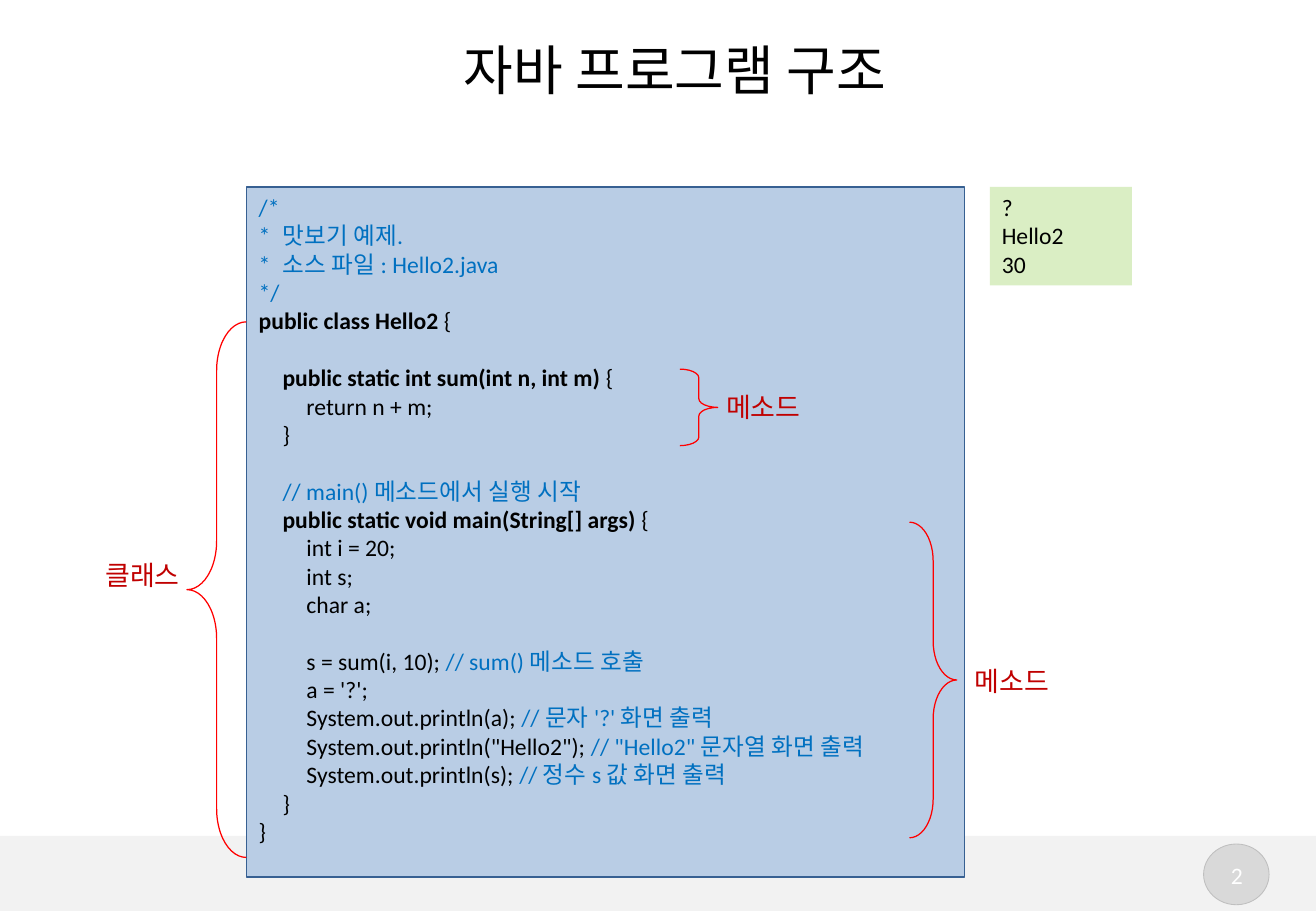
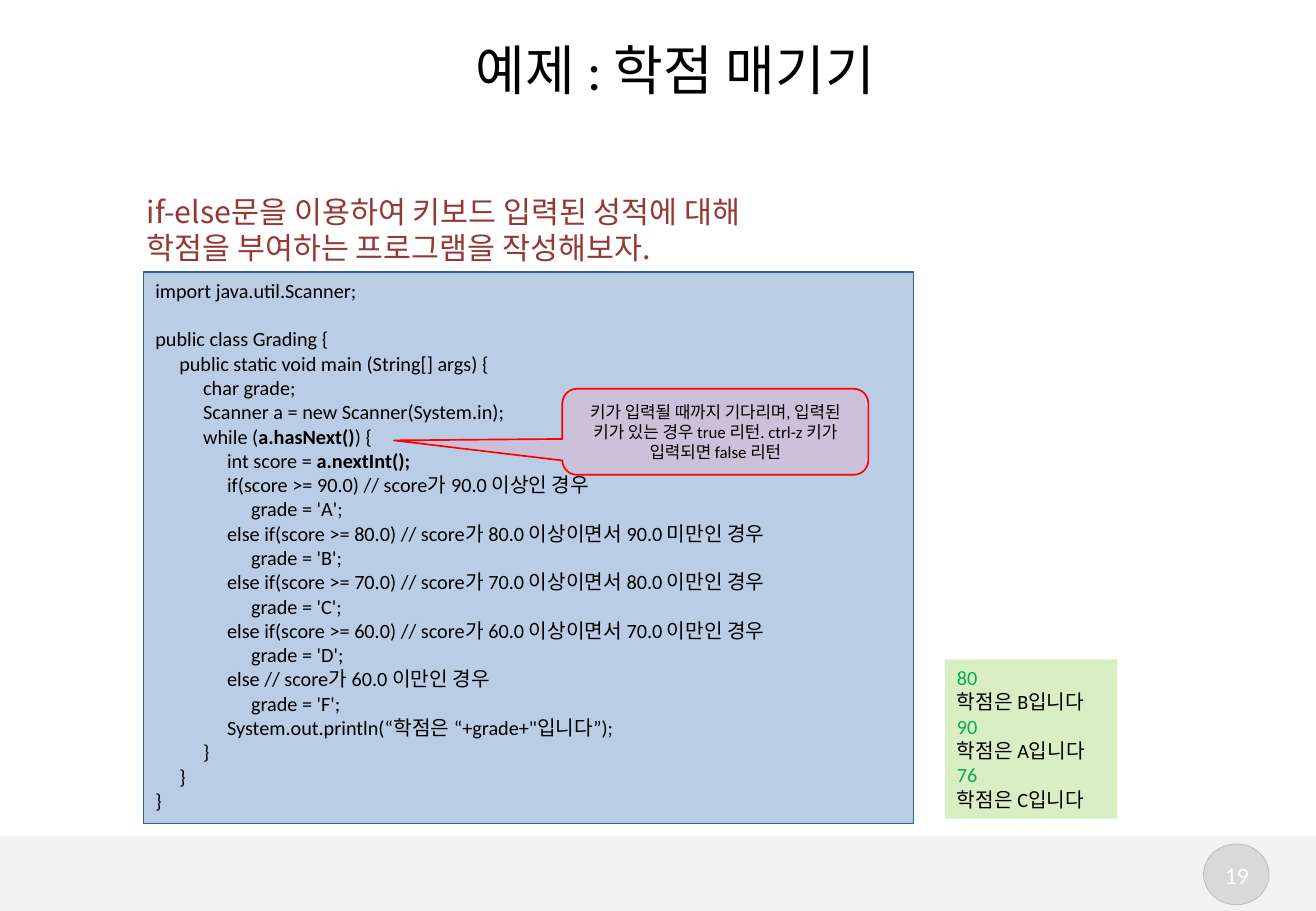
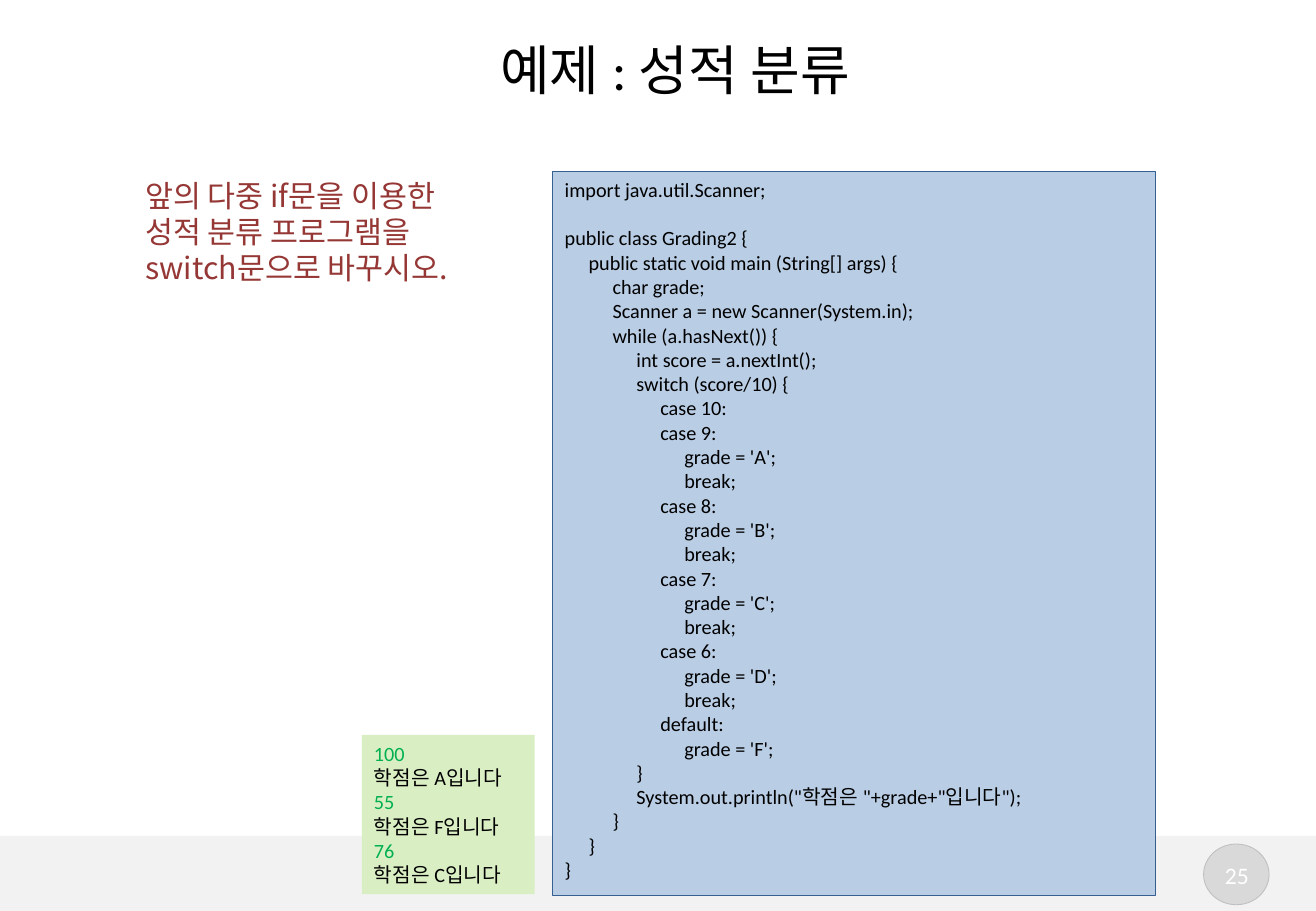
from dataclasses import dataclass
from typing import Optional

import pptx
import pptx.dml.color
import pptx.enum.shapes
import pptx.enum.text
import pptx.oxml.ns
import pptx.util
from lxml import etree

Cm = pptx.util.Cm
Pt = pptx.util.Pt
qn = pptx.oxml.ns.qn
Shapes = pptx.enum.shapes.MSO_SHAPE
Align = pptx.enum.text.PP_ALIGN
Anchor = pptx.enum.text.MSO_ANCHOR


@dataclass(frozen=True)
class Theme:
    black: str = "000000"
    white: str = "FFFFFF"
    band: str = "F2F2F2"
    badge: str = "D9D9D9"
    badge_line: str = "BFBFBF"
    code_fill: str = "B9CDE5"
    code_line: str = "376092"
    comment: str = "0070C0"
    output_fill: str = "DAEEC4"
    typed: str = "00B050"
    label: str = "C00000"
    brace: str = "FF0000"
    prompt: str = "953735"
    callout_fill: str = "CCC1DA"
    font: str = "Calibri"
    prompt_font: str = "Noto Sans CJK KR"
    title_size: int = 32
    prompt_size: int = 18
    prompt_pitch: float = 21.5
    label_size: int = 16
    large_size: int = 14
    code_size: int = 12
    callout_size: int = 10


THEME = Theme()
WIDTH, HEIGHT = 27.52, 19.05
BAND_TOP = 17.48
TAB_STEP, TAB_COUNT = 0.5, 6
INDENT = " " * 4


@dataclass(frozen=True)
class Area:
    """Left, top, width and height in centimetres."""
    left: float
    top: float
    width: float
    height: float

    def lengths(self) -> tuple:
        return Cm(self.left), Cm(self.top), Cm(self.width), Cm(self.height)


@dataclass(frozen=True)
class TextStyle:
    size: int
    color: str = THEME.black
    accent: str = THEME.black
    font: str = THEME.font
    align: Align = Align.LEFT
    anchor: Anchor = Anchor.TOP
    pitch: Optional[float] = None
    tabs: bool = False


@dataclass(frozen=True)
class Brace:
    area: Area
    curve: float
    rotation: int = 0


TITLE = TextStyle(THEME.title_size, align=Align.CENTER)
NUMBER = TextStyle(THEME.large_size, THEME.white, align=Align.CENTER)
LABEL = TextStyle(THEME.label_size, THEME.label)
PROMPT = TextStyle(THEME.prompt_size, THEME.prompt, font=THEME.prompt_font,
                   pitch=THEME.prompt_pitch)
LARGE_CODE = TextStyle(THEME.large_size, accent=THEME.comment, tabs=True)
CODE = TextStyle(THEME.code_size, tabs=True)
LARGE_OUTPUT = TextStyle(THEME.large_size)
OUTPUT = TextStyle(THEME.code_size, accent=THEME.typed)
CALLOUT = TextStyle(THEME.callout_size, align=Align.CENTER, anchor=Anchor.MIDDLE)

HELLO_CODE = """`/*`
`*    맛보기 예제.`
`*    소스 파일 : Hello2.java`
`*/`
**public class Hello2 **{

    **public static int sum(int n, int m) **{
        return n + m;
    }

    `// main() 메소드에서 실행 시작`
    **public static void main(String[] args) **{
        int i = 20;
        int s;
        char a;

        s = sum(i, 10); `// sum() 메소드 호출`
        a = '?';
        System.out.println(a); `// 문자 '?' 화면 출력`
        System.out.println("Hello2"); `// "Hello2" 문자열 화면 출력`
        System.out.println(s); `// 정수 s 값 화면 출력`
    }
}"""

GRADING_CODE = """import java.util.Scanner;

public class Grading {
    public static void main (String[] args) {
        char grade;
        Scanner a = new Scanner(System.in);
        while (**a.hasNext()**) {
            int score = **a.nextInt();**
            if(score >= 90.0) // score가 90.0 이상인 경우
                grade = 'A';
            else if(score >= 80.0) // score가 80.0 이상이면서 90.0 미만인 경우
                grade = 'B';
            else if(score >= 70.0) // score가 70.0 이상이면서 80.0 이만인 경우
                grade = 'C';
            else if(score >= 60.0) // score가 60.0 이상이면서 70.0 이만인 경우
                grade = 'D';
            else // score가 60.0 이만인 경우
                grade = 'F';
            System.out.println(“학점은 “+grade+"입니다”);
        }
    }
}"""

SWITCH_CODE = """import java.util.Scanner;

public class Grading2 {
    public static void main (String[] args) {
        char grade;
        Scanner a = new Scanner(System.in);
        while (a.hasNext()) {
            int score = a.nextInt();
            switch (score/10) {
                case 10:
                case 9:
                    grade = 'A';
                    break;
                case 8:
                    grade = 'B';
                    break;
                case 7:
                    grade = 'C';
                    break;
                case 6:
                    grade = 'D';
                    break;
                default:
                    grade = 'F';
            }
            System.out.println("학점은 "+grade+"입니다");
        }
    }
}"""


def rgb(color: str) -> pptx.dml.color.RGBColor:
    return pptx.dml.color.RGBColor.from_string(color)


def add_tab_stops(paragraph) -> None:
    tab_list = etree.SubElement(paragraph._p.get_or_add_pPr(), qn("a:tabLst"))
    for stop in range(1, TAB_COUNT + 1):
        etree.SubElement(tab_list, qn("a:tab"), pos=str(int(Cm(TAB_STEP * stop))), algn="l")


def set_paragraph_font(paragraph, style: TextStyle, color: str) -> None:
    """Set one typeface for Latin and Korean letters alike."""
    font = paragraph.font
    font.size = Pt(style.size)
    font.color.rgb = rgb(color)
    font.name = style.font
    properties = paragraph._p.pPr.find(qn("a:defRPr"))
    etree.SubElement(properties, qn("a:ea"), typeface=style.font)


def write_line(paragraph, line: str, style: TextStyle) -> None:
    """Write a line in which `...` takes the accent colour and **...** is bold."""
    paragraph.alignment = style.align
    if style.pitch:
        paragraph.line_spacing = Pt(style.pitch)
    if style.tabs:
        add_tab_stops(paragraph)
    all_accent = line.startswith("`") and line.endswith("`")
    set_paragraph_font(paragraph, style, style.accent if all_accent else style.color)
    for piece_index, piece in enumerate(line.split("`")):
        for part_index, part in enumerate(piece.split("**")):
            if not part:
                continue
            span = paragraph.add_run()
            span.text = part
            if part_index % 2:
                span.font.bold = True
            if piece_index % 2 and not all_accent:
                span.font.color.rgb = rgb(style.accent)
    if not line:
        etree.SubElement(paragraph._p, qn("a:endParaRPr"), sz=str(style.size * 100))


def write_text(box, text: str, style: TextStyle) -> None:
    frame = box.text_frame
    frame.word_wrap = True
    frame.vertical_anchor = style.anchor
    for index, line in enumerate(text.split("\n")):
        paragraph = frame.add_paragraph() if index else frame.paragraphs[0]
        write_line(paragraph, line.replace(INDENT, "\t"), style)


def add_text(page, area: Area, text: str, style: TextStyle) -> None:
    write_text(page.shapes.add_textbox(*area.lengths()), text, style)


def add_box(page, kind: Shapes, area: Area, fill: Optional[str] = None,
            line: Optional[str] = None, line_width: float = 0.75):
    box = page.shapes.add_shape(kind, *area.lengths())
    box.shadow.inherit = False
    if fill:
        box.fill.solid()
        box.fill.fore_color.rgb = rgb(fill)
    else:
        box.fill.background()
    if line:
        box.line.color.rgb = rgb(line)
        box.line.width = Pt(line_width)
    else:
        box.line.fill.background()
    return box


def add_code(page, area: Area, text: str, style: TextStyle = CODE) -> None:
    box = add_box(page, Shapes.RECTANGLE, area, THEME.code_fill, THEME.code_line)
    write_text(box, text, style)


def add_output(page, area: Area, text: str, style: TextStyle = OUTPUT) -> None:
    write_text(add_box(page, Shapes.RECTANGLE, area, THEME.output_fill), text, style)


def add_brace(page, brace: Brace) -> None:
    box = add_box(page, Shapes.RIGHT_BRACE, brace.area, line=THEME.brace)
    box.adjustments[0] = brace.curve
    box.rotation = brace.rotation


def add_page(deck, title: str, number: int):
    """Add a page with the footer band, number badge and title."""
    page = deck.slides.add_slide(deck.slide_layouts[6])
    add_box(page, Shapes.RECTANGLE, Area(0, BAND_TOP, WIDTH, HEIGHT - BAND_TOP), THEME.band)
    add_box(page, Shapes.OVAL, Area(25.17, 17.65, 1.37, 1.27),
            THEME.badge, THEME.badge_line, 0.5)
    add_text(page, Area(25.32, 17.88, 1.09, 0.86), str(number), NUMBER)
    add_text(page, Area(1.85, 0.64, 24.54, 1.88), title, TITLE)
    return page


def build_structure_page(deck) -> None:
    page = add_page(deck, "자바 프로그램 구조", 2)
    add_code(page, Area(5.16, 3.91, 15.01, 14.43), HELLO_CODE, LARGE_CODE)
    for left, top, text in ((14.94, 8.05, "메소드"), (20.14, 13.77, "메소드"),
                            (1.96, 11.56, "클래스")):
        add_text(page, Area(left, top, 2.4, 0.94), text, LABEL)
    add_output(page, Area(20.7, 3.91, 2.97, 2.06), "?\nHello2\n30", LARGE_OUTPUT)
    for brace in (Brace(Area(14.22, 7.72, 0.79, 1.6), 0.23),
                  Brace(Area(19.02, 10.92, 0.99, 6.6), 0.82),
                  Brace(Area(3.91, 6.73, 1.24, 11.2), 0.82, 180)):
        add_brace(page, brace)


def build_grading_page(deck) -> None:
    page = add_page(deck, "예제 : 학점 매기기", 19)
    add_code(page, Area(3, 5.69, 16.1, 11.53), GRADING_CODE)
    add_text(page, Area(2.82, 3.91, 14.68, 1.8),
             "if-else문을 이용하여 키보드 입력된 성적에 대해\n"
             "학점을 부여하는 프로그램을 작성해보자.", PROMPT)
    add_output(page, Area(19.76, 13.79, 3.61, 3.33),
               "`80`\n학점은 B입니다\n`90`\n학점은 A입니다\n`76`\n학점은 C입니다")
    callout = add_box(page, Shapes.ROUNDED_RECTANGULAR_CALLOUT, Area(11.76, 8.13, 6.4, 1.8),
                      THEME.callout_fill, THEME.brace, 1)
    for index, value in enumerate((-1.05, 0.1, 0.17)):
        callout.adjustments[index] = value
    write_text(callout, "키가 입력될 때까지 기다리며, 입력된 키가 있는 경우 true 리턴. "
                        "ctrl-z 키가 입력되면 false 리턴", CALLOUT)


def build_switch_page(deck) -> None:
    page = add_page(deck, "예제 : 성적 분류", 25)
    add_code(page, Area(11.56, 3.58, 12.6, 15.14), SWITCH_CODE)
    add_text(page, Area(2.79, 3.58, 7.98, 2.57),
             "앞의 다중 if문을 이용한\n성적 분류 프로그램을\nswitch문으로 바꾸시오.", PROMPT)
    add_output(page, Area(7.57, 15.37, 3.61, 3.33),
               "`100`\n학점은 A입니다\n`55`\n학점은 F입니다\n`76`\n학점은 C입니다")


def main() -> None:
    deck = pptx.Presentation()
    deck.slide_width, deck.slide_height = Cm(WIDTH), Cm(HEIGHT)
    build_structure_page(deck)
    build_grading_page(deck)
    build_switch_page(deck)
    deck.save("out.pptx")


if __name__ == "__main__":
    main()
